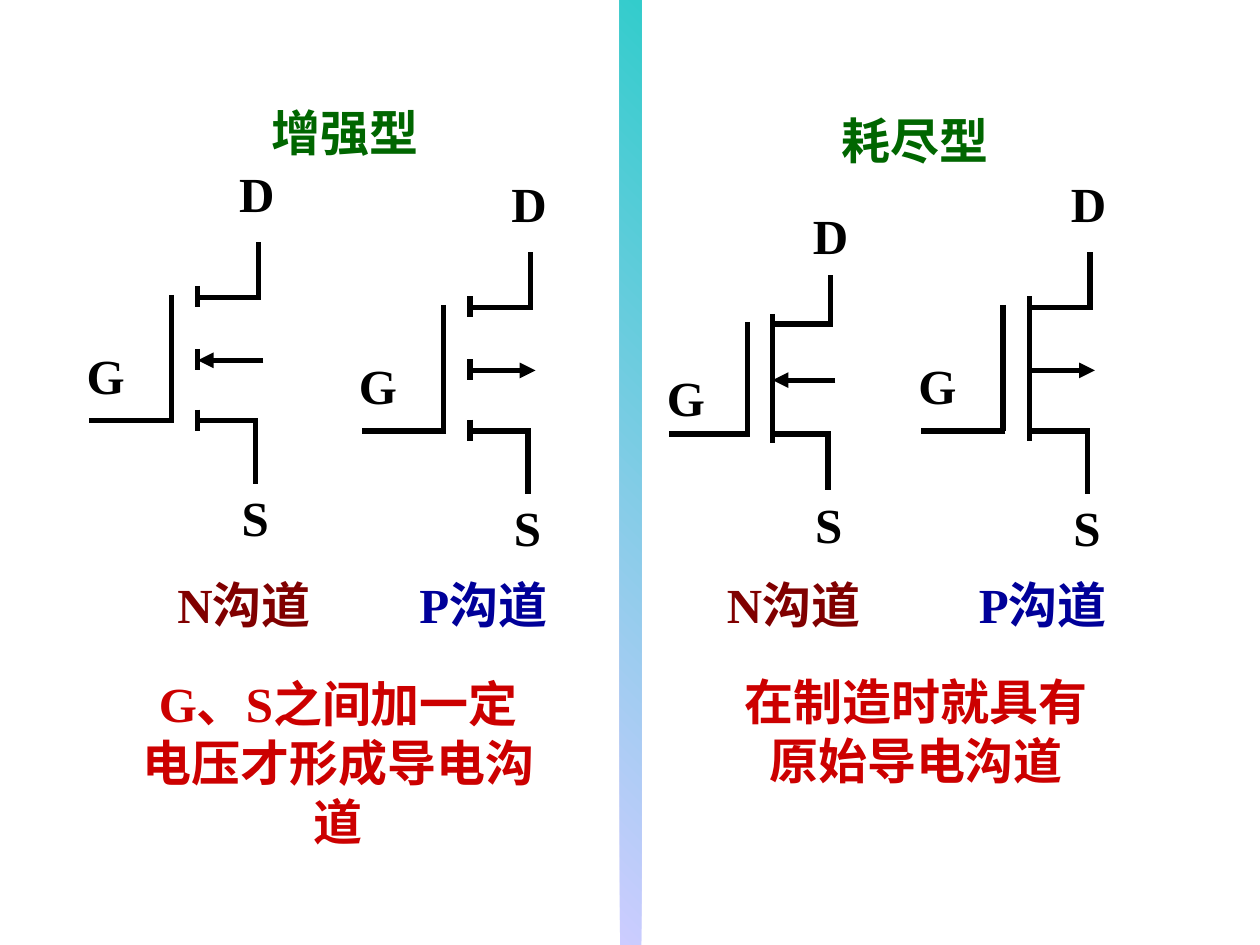
import pptx
import pptx.dml.color
import pptx.enum.dml
import pptx.enum.shapes
import pptx.enum.text
import pptx.oxml
import pptx.oxml.ns
import pptx.util
from lxml import etree
from pptx.util import Inches

LATIN, CJK = "Times New Roman", "Noto Sans CJK SC"
BLACK, GREEN, MAROON, NAVY, RED = "000000", "006600", "800000", "000099", "CC0000"
ANCHOR = pptx.enum.text.MSO_ANCHOR
ALIGN = pptx.enum.text.PP_ALIGN
AUTO_SIZE = pptx.enum.text.MSO_AUTO_SIZE

# Transistor symbol in a 1.38 x 1.92 box: x1, y1, x2, y2
SYMBOL_SIZE = (1.38, 1.92)
SYMBOL_LINES = [
    (0.65, 0.42, 0.65, 1.42),  # gate plate
    (0.67, 1.42, 0, 1.42),     # gate lead
    (0.84, 0.44, 1.36, 0.44),  # drain
    (1.34, 0.46, 1.34, 0),
    (0.86, 1.42, 1.34, 1.42),  # source
    (1.32, 1.40, 1.32, 1.92),
] + [(0.86, y, 0.86, y + 0.17) for y in (0.35, 0.85, 1.33)]
CHANNEL = (0.86, 0.40, 0.86, 1.42)
ARROW_Y, ARROW_LEFT, ARROW_RIGHT = 0.94, 0.86, 1.38
TERMINALS = [("G", -0.12, 0.77, 0.67), ("S", 1.11, 1.90, 0.69), ("D", 1.09, -0.67, 0.77)]


def rgb(code):
    return pptx.dml.color.RGBColor.from_string(code)


def write(frame, paragraphs, color, align=ALIGN.LEFT, anchor=ANCHOR.TOP,
          wrap=True, fit=AUTO_SIZE.NONE):
    """Fill a text frame; each paragraph is a list of (text, font) runs."""
    frame.word_wrap = wrap
    frame.auto_size = fit
    frame.vertical_anchor = anchor
    for index, runs in enumerate(paragraphs):
        paragraph = frame.paragraphs[0] if index == 0 else frame.add_paragraph()
        paragraph.alignment = align
        for text, font in runs:
            run = paragraph.add_run()
            run.text = text
            run.font.size = pptx.util.Pt(28)
            run.font.bold = True
            run.font.color.rgb = rgb(color)
            run.font.name = font
            east_asian = etree.SubElement(run.font._element, pptx.oxml.ns.qn("a:ea"))
            east_asian.set("typeface", CJK)


def add_text(shapes, box, paragraphs, color, **options):
    textbox = shapes.add_textbox(*map(Inches, box))
    write(textbox.text_frame, paragraphs, color, **options)


def add_line(shapes, ends, arrow=False):
    line = shapes.add_connector(pptx.enum.shapes.MSO_CONNECTOR.STRAIGHT, *map(Inches, ends))
    line.line.color.rgb = rgb(BLACK)
    line.line.width = pptx.util.Pt(3)
    if arrow:
        tail = etree.SubElement(line.line._get_or_add_ln(), pptx.oxml.ns.qn("a:tailEnd"))
        tail.set("type", "triangle")
    etree.SubElement(line._element.spPr, pptx.oxml.ns.qn("a:effectLst"))


def add_transistor(shapes, box, n_channel, depletion):
    left, top, width, height = box
    x_scale, y_scale = width / SYMBOL_SIZE[0], height / SYMBOL_SIZE[1]

    def place(x1, y1, x2, y2):
        return (left + x1 * x_scale, top + y1 * y_scale,
                left + x2 * x_scale, top + y2 * y_scale)

    for ends in SYMBOL_LINES + ([CHANNEL] if depletion else []):
        add_line(shapes, place(*ends))

    # Substrate arrow points inwards for N, outwards for P
    start, end = (ARROW_RIGHT, ARROW_LEFT) if n_channel else (ARROW_LEFT, ARROW_RIGHT)
    add_line(shapes, place(start, ARROW_Y, end, ARROW_Y), arrow=True)

    for name, x, y, label_width in TERMINALS:
        add_text(shapes, (left + x * x_scale, top + y * y_scale, label_width * x_scale, 0.57),
                 [[(name, LATIN)]], BLACK, fit=AUTO_SIZE.SHAPE_TO_FIT_TEXT)


def add_panel(slide, n_box, p_box, n_caption_left, p_caption_left, depletion, note_box, note):
    """One MOSFET type: N and P symbols, their captions and the note below."""
    shapes = slide.shapes.add_group_shape().shapes
    add_transistor(shapes, n_box, True, depletion)
    add_transistor(shapes, p_box, False, depletion)
    for left, caption, color in ((n_caption_left, "N沟道", MAROON),
                                 (p_caption_left, "P沟道", NAVY)):
        add_text(shapes, (left, 4.42, 1.83, 0.75), [[(caption, LATIN)]], color,
                 anchor=ANCHOR.MIDDLE)
    add_text(slide.shapes, note_box, note, RED, align=ALIGN.CENTER, wrap=False,
             fit=AUTO_SIZE.SHAPE_TO_FIT_TEXT)


def add_divider(slide, box):
    divider = slide.shapes.add_shape(pptx.enum.shapes.MSO_SHAPE.RECTANGLE, *map(Inches, box))
    divider.shadow.inherit = False
    divider.line.fill.background()
    divider.fill.gradient()
    divider.fill.gradient_angle = 45
    for stop, position, color in zip(divider.fill.gradient_stops, (0, 1), ("CCCCFF", "33CCCC")):
        stop.position = position
        stop.color.rgb = rgb(color)


def add_title(slide, box):
    title = slide.shapes.title
    title.left, title.top, title.width, title.height = map(Inches, box)
    write(title.text_frame, [[("耗尽型", LATIN)]], GREEN)


def main():
    deck = pptx.Presentation()
    deck.slide_width, deck.slide_height = Inches(10), Inches(7.5)
    slide = deck.slides.add_slide(deck.slide_layouts[5])

    # Headings
    add_title(slide, (6.58, 0.83, 1.83, 0.75))
    add_text(slide.shapes, (2.06, 0.67, 1.83, 0.75), [[("增强型", LATIN)]], GREEN,
             anchor=ANCHOR.MIDDLE)

    # Enhancement type
    add_panel(slide, (0.71, 1.92, 1.38, 1.92), (2.87, 2, 1.38, 1.92), 1.31, 3.23, False,
              (0.84, 5.3, 3.69, 1.04),
              [[("G、S", LATIN), ("之间加一定", CJK)], [("电压才形成导电沟道", CJK)]])

    # Depletion type
    add_panel(slide, (5.31, 2.18, 1.32, 1.71), (7.31, 2, 1.38, 1.92), 5.67, 7.67, True,
              (5.81, 5.28, 2.92, 1.04),
              [[("在制造时就具有", LATIN)], [("原始", LATIN), ("导电沟道", CJK)]])

    add_divider(slide, (4.92, 0, 0.17, 7.5))
    deck.save("out.pptx")


if __name__ == "__main__":
    main()
